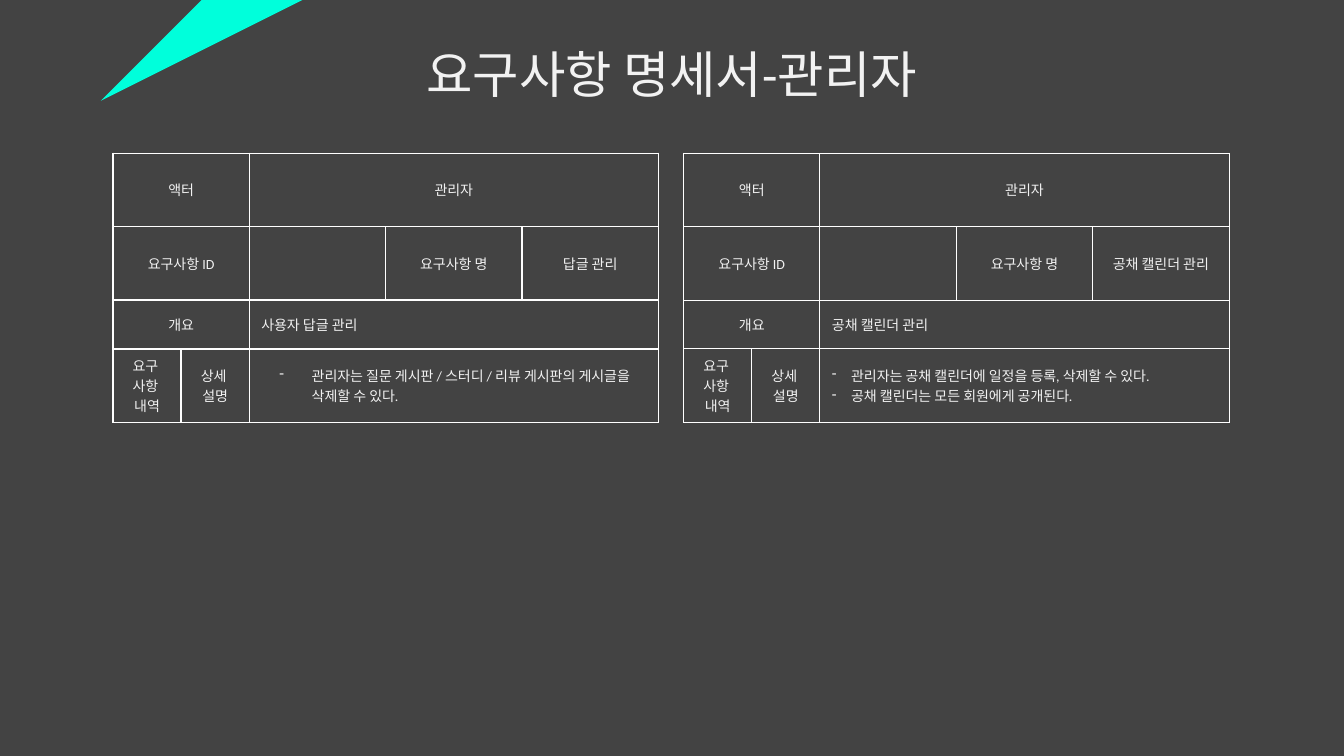
"""Build the slide of admin requirement tables."""
from lxml.etree import SubElement
from pptx import Presentation
from pptx.dml.color import RGBColor
from pptx.enum.text import MSO_ANCHOR, PP_ALIGN
from pptx.oxml import parse_xml
from pptx.oxml.ns import nsdecls, qn
from pptx.util import Inches, Pt

DARK = RGBColor(0x43, 0x43, 0x43)
PALE = RGBColor(0xF2, 0xF2, 0xF2)
MINT = RGBColor(0x00, 0xFF, 0xDB)
WHITE = RGBColor(0xFF, 0xFF, 0xFF)
FONT = "Calibri"
COLS = (1, 1, 2, 2, 2)
ROWS = (3, 3, 2, 3)
WIDTH = Inches(5.41)
HEIGHT = Inches(2.67)
TOP = Inches(1.52)
MERGES = ((0, 0, 1), (0, 2, 4), (1, 0, 1), (2, 0, 1), (2, 2, 4), (3, 2, 4))


def style(frame, size, align):
    """Format every run and paragraph of a text frame."""
    for para in frame.paragraphs:
        para.alignment = align
        for run in para.runs:
            run.font.size = Pt(size)
            run.font.name = FONT
            run.font.color.rgb = PALE


def add_title(slide, text):
    """Place the slide title in its placeholder."""
    title = slide.shapes.title
    title.left, title.top = Inches(1.15), Inches(0.37)
    title.width, title.height = Inches(11.02), Inches(0.71)
    title.text_frame.text = text
    title.text_frame.vertical_anchor = MSO_ANCHOR.MIDDLE
    style(title.text_frame, 36, PP_ALIGN.CENTER)


def add_stripe(slide):
    """Draw the slanted stripe in the top left corner."""
    pen = slide.shapes.build_freeform(2.76, 0, scale=Inches(1))
    pen.add_line_segments([(1.87, 0), (0.54, 1.23), (1.44, 1.23)], close=True)
    stripe = pen.convert_to_shape()
    stripe.shadow.inherit = False
    stripe.fill.solid()
    stripe.fill.fore_color.rgb = MINT
    stripe.line.fill.background()


def add_edges(cell, weight):
    """Draw a white line on each side of a cell."""
    props = cell._tc.get_or_add_tcPr()
    for spot, side in enumerate("LRTB"):
        edge = parse_xml(
            f'<a:ln{side} {nsdecls("a")} w="{Pt(weight)}"><a:solidFill>'
            f'<a:srgbClr val="{WHITE}"/></a:solidFill></a:ln{side}>')
        props.insert(spot, edge)


def add_dash(para, indent, hang):
    """Give a paragraph a hanging dash bullet."""
    props = para._p.get_or_add_pPr()
    props.set("marL", str(Inches(indent)))
    props.set("indent", str(-Inches(hang)))
    tint = SubElement(props, qn("a:buClr"))
    SubElement(tint, qn("a:srgbClr")).set("val", str(PALE))
    SubElement(props, qn("a:buChar")).set("char", "-")


def add_spec(slide, left, weight, name, brief, detail, indent, hang):
    """Add one requirement table."""
    table = slide.shapes.add_table(
        len(ROWS), len(COLS), left, TOP, WIDTH, HEIGHT).table
    table.first_row = table.horz_banding = False
    for col, share in zip(table.columns, COLS):
        col.width = WIDTH * share // sum(COLS)
    for row, share in zip(table.rows, ROWS):
        row.height = HEIGHT * share // sum(ROWS)
    for row, first, last in MERGES:
        table.cell(row, first).merge(table.cell(row, last))
    texts = {
        (0, 0): "액터", (0, 2): "관리자",
        (1, 0): "요구사항 ID", (1, 3): "요구사항 명", (1, 4): name,
        (2, 0): "개요", (2, 2): brief,
        (3, 0): "요구 \n사항 \n내역", (3, 1): "상세 \n설명", (3, 2): detail,
    }
    for spot, text in texts.items():
        cell = table.cell(*spot)
        cell.text_frame.text = text
        align = PP_ALIGN.LEFT if spot in ((2, 2), (3, 2)) else PP_ALIGN.CENTER
        style(cell.text_frame, 10, align)
    for para in table.cell(3, 2).text_frame.paragraphs:
        add_dash(para, indent, hang)
    for cell in table.iter_cells():
        cell.vertical_anchor = MSO_ANCHOR.MIDDLE
        cell.margin_left = cell.margin_right = Inches(0.12)
        cell.margin_top = cell.margin_bottom = Inches(0.05)
        cell.fill.solid()
        cell.fill.fore_color.rgb = DARK
        add_edges(cell, weight)


def main():
    """Build and save the slide."""
    deck = Presentation()
    deck.slide_width, deck.slide_height = Inches(13.33), Inches(7.5)
    slide = deck.slides.add_slide(deck.slide_layouts[5])
    slide.background.fill.solid()
    slide.background.fill.fore_color.rgb = DARK
    add_title(slide, "요구사항 명세서-관리자")
    add_stripe(slide)
    add_spec(slide, Inches(1.12), 1, "답글 관리", "사용자 답글 관리",
             "관리자는 질문 게시판 / 스터디 / 리뷰 게시판의 게시글을 삭제할 수 있다.",
             0.5, 0.32)
    add_spec(slide, Inches(6.78), 0.75, "공채 캘린더 관리", "공채 캘린더 관리",
             "관리자는 공채 캘린더에 일정을 등록, 삭제할 수 있다.\n"
             "공채 캘린더는 모든 회원에게 공개된다.", 0.19, 0.19)
    deck.save("out.pptx")


if __name__ == "__main__":
    main()
